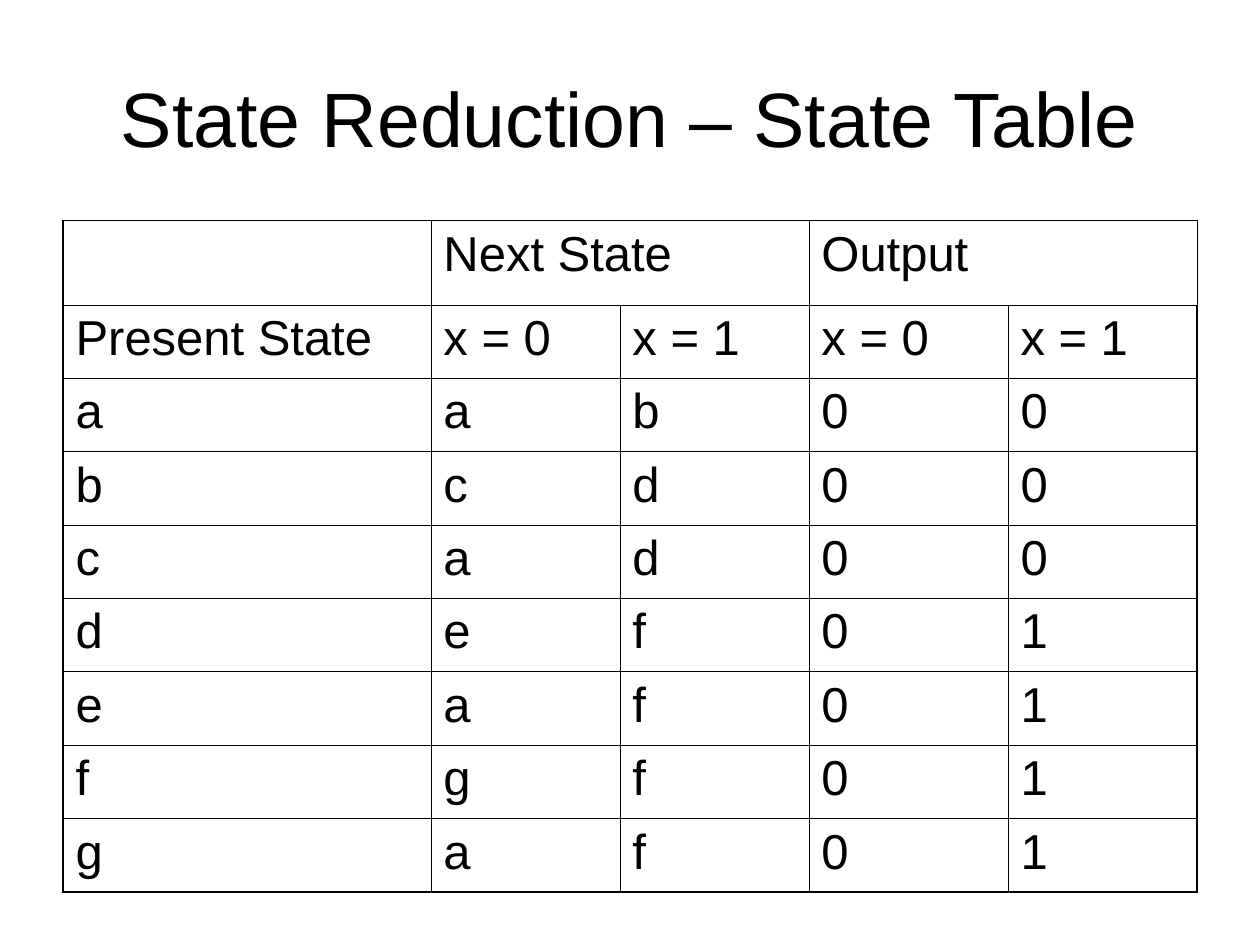
from dataclasses import dataclass

from lxml.etree import SubElement
from pptx import Presentation
from pptx.dml.color import RGBColor
from pptx.enum.text import MSO_ANCHOR, PP_ALIGN
from pptx.oxml.ns import qn
from pptx.slide import Slide
from pptx.table import Table, _Cell
from pptx.text.text import _Paragraph
from pptx.util import Inches, Pt


@dataclass(frozen=True)
class Theme:
    font: str = "Arial"
    ink: str = "000000"
    title_size: float = 44
    table_size: float = 28
    inner_line: float = 0.45
    outer_line: float = 1.08


@dataclass(frozen=True)
class Transition:
    """One present state with its next states and outputs for x = 0 and x = 1."""
    state: str
    next_states: str
    outputs: str

    def texts(self) -> list[str]:
        return [self.state, *self.next_states, *self.outputs]


THEME = Theme()
WIDTH, HEIGHT = Inches(10), Inches(7.5)
MARGIN = 0.05  # share of the slide's width
TITLE_TOP, TITLE_HEIGHT = 0.04, 1 / 6  # shares of the slide's height
TABLE_TOP = 7 / 30
HEADER_ROW, BODY_ROW = 0.67, 0.5825  # inches
COLUMNS = (2.92, 1.5, 1.5, 1.58, 1.5)  # inches

HEADINGS = [
    ["", "Next State", "", "Output", ""],
    ["Present State", "x = 0", "x = 1", "x = 0", "x = 1"],
]
TRANSITIONS = [
    Transition("a", "ab", "00"),
    Transition("b", "cd", "00"),
    Transition("c", "ad", "00"),
    Transition("d", "ef", "01"),
    Transition("e", "af", "01"),
    Transition("f", "gf", "01"),
    Transition("g", "af", "01"),
]


def add_text(paragraph: _Paragraph, text: str, size: float) -> None:
    run = paragraph.add_run()
    run.text = text
    run.font.name = THEME.font
    run.font.size = Pt(size)
    run.font.color.rgb = RGBColor.from_string(THEME.ink)


def add_title(slide: Slide, text: str) -> None:
    title = slide.shapes.title
    title.left, title.top = int(WIDTH * MARGIN), int(HEIGHT * TITLE_TOP)
    title.width = int(WIDTH * (1 - 2 * MARGIN))
    title.height = int(HEIGHT * TITLE_HEIGHT)
    title.text_frame.vertical_anchor = MSO_ANCHOR.MIDDLE
    paragraph = title.text_frame.paragraphs[0]
    paragraph.alignment = PP_ALIGN.CENTER
    add_text(paragraph, text, THEME.title_size)


def set_borders(cell: _Cell, outer_sides: dict[str, bool]) -> None:
    properties = cell._tc.get_or_add_tcPr()
    for side, is_outer in outer_sides.items():
        width = THEME.outer_line if is_outer else THEME.inner_line
        line = SubElement(properties, qn(f"a:ln{side}"), w=str(Pt(width)))
        fill = SubElement(line, qn("a:solidFill"))
        SubElement(fill, qn("a:srgbClr"), val=THEME.ink)


def fill_table(table: Table, rows: list[list[str]]) -> None:
    last_row, last_column = len(rows) - 1, len(COLUMNS) - 1
    for row, texts in enumerate(rows):
        for column, text in enumerate(texts):
            cell = table.cell(row, column)
            set_borders(cell, {
                "L": column == 0,
                "R": column == last_column,
                "T": row == 0,
                "B": row == last_row,
            })
            cell.fill.background()
            if text:
                add_text(cell.text_frame.paragraphs[0], text, THEME.table_size)


def add_state_table(slide: Slide) -> None:
    rows = HEADINGS + [transition.texts() for transition in TRANSITIONS]
    heights = [HEADER_ROW] + [BODY_ROW] * (len(rows) - 1)
    table = slide.shapes.add_table(
        len(rows), len(COLUMNS),
        int(WIDTH * MARGIN), int(HEIGHT * TABLE_TOP),
        Inches(sum(COLUMNS)), Inches(sum(heights)),
    ).table
    table.first_row = table.horz_banding = False
    for column, width in zip(table.columns, COLUMNS):
        column.width = Inches(width)
    for row, height in zip(table.rows, heights):
        row.height = Inches(height)
    fill_table(table, rows)
    # Each group heading covers its x = 0 and x = 1 columns
    for first in (1, 3):
        table.cell(0, first).merge(table.cell(0, first + 1))


def main() -> None:
    presentation = Presentation()
    presentation.slide_width, presentation.slide_height = WIDTH, HEIGHT
    title_only = presentation.slide_layouts[5]
    slide = presentation.slides.add_slide(title_only)
    add_title(slide, "State Reduction – State Table")
    add_state_table(slide)
    presentation.save("out.pptx")


if __name__ == "__main__":
    main()
